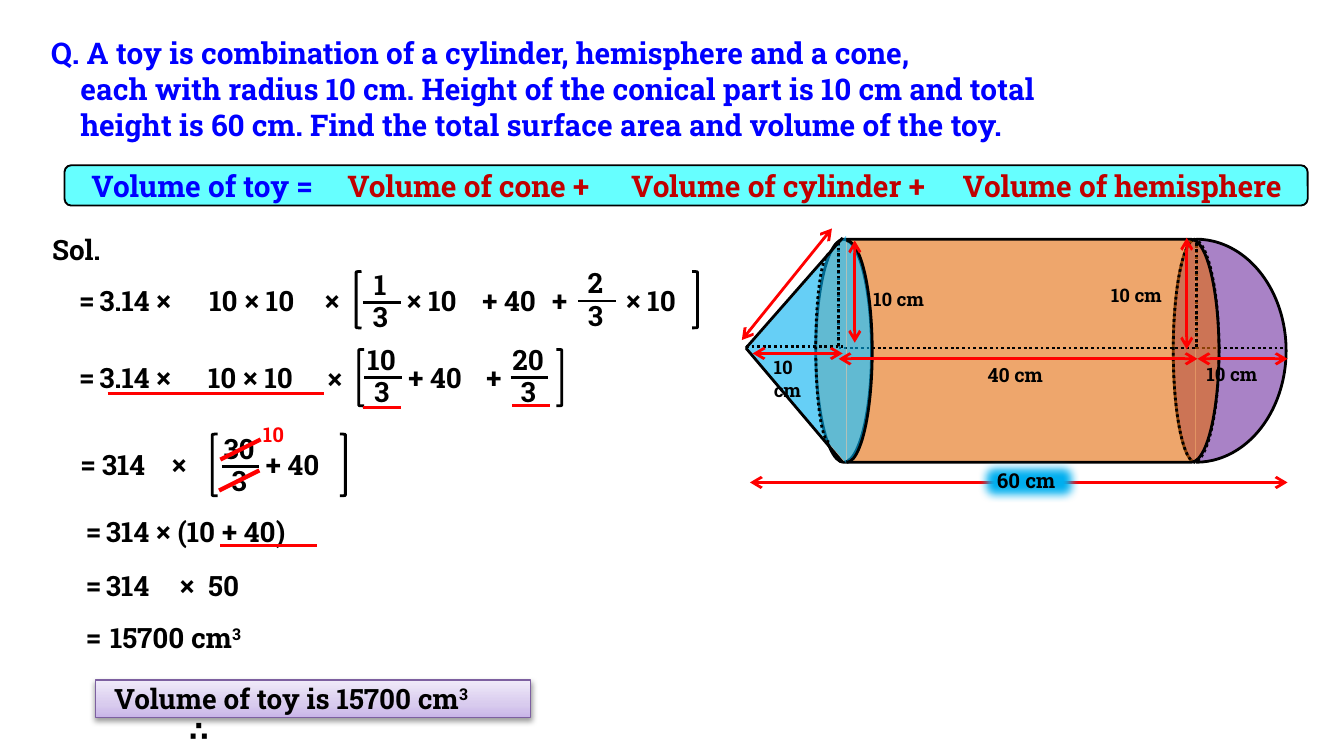
import math

from pptx import Presentation
from pptx.dml.color import RGBColor
from pptx.enum.dml import MSO_LINE
from pptx.enum.shapes import MSO_CONNECTOR, MSO_SHAPE
from pptx.enum.text import MSO_AUTO_SIZE, PP_ALIGN
from pptx.oxml.ns import qn
from pptx.util import Inches, Pt
from lxml import etree

LEFT, CENTER = PP_ALIGN.LEFT, PP_ALIGN.CENTER
DOT = MSO_LINE.ROUND_DOT
STRAIGHT = MSO_CONNECTOR.STRAIGHT
FIT_TEXT = MSO_AUTO_SIZE.SHAPE_TO_FIT_TEXT
ARC, CAN, TRIANGLE = MSO_SHAPE.ARC, MSO_SHAPE.CAN, MSO_SHAPE.ISOSCELES_TRIANGLE
RECTANGLE, ROUNDED = MSO_SHAPE.RECTANGLE, MSO_SHAPE.ROUNDED_RECTANGLE
LEFT_BRACKET, RIGHT_BRACKET = MSO_SHAPE.LEFT_BRACKET, MSO_SHAPE.RIGHT_BRACKET
BLACK, RED, BLUE, CRIMSON = "000000", "FF0000", "0000FF", "C00000"
SKY, PURPLE, ORANGE = "00B0F0", "7030A0", "E46C0A"
RIGHT_HALF, LEFT_HALF = (162, 54), (54, 162)


def color(value):
    return RGBColor.from_string(value)


def child(parent, tag, **attributes):
    """Append a DrawingML element with the given attributes."""
    element = etree.SubElement(parent, qn("a:" + tag))
    for name, value in attributes.items():
        element.set(name, str(value))
    return element


class Board:
    font = "Roboto Slab"

    def __init__(self, slide):
        self.shapes = slide.shapes

    def text(self, x, y, w, content, h=0.35, size=15, ink=BLACK, align=LEFT,
             margin=0, hanging=False, tab=0):
        """Write one paragraph per line; a part after ^ is raised."""
        box = self.shapes.add_textbox(*map(Inches, (x, y, w, h)))
        frame = box.text_frame
        frame.word_wrap = True
        frame.auto_size = FIT_TEXT
        for i, line in enumerate(content.split("\n")):
            paragraph = frame.paragraphs[0] if i == 0 else frame.add_paragraph()
            paragraph.alignment = align
            properties = paragraph._p.get_or_add_pPr()
            if margin:
                first = -margin if hanging and i == 0 else 0
                properties.set("marL", str(Inches(margin)))
                properties.set("indent", str(Inches(first)))
            if tab:
                child(child(properties, "tabLst"), "tab", pos=Inches(tab), algn="l")
            for j, part in enumerate(line.split("^")):
                run = paragraph.add_run()
                run.text = part
                run.font.name = self.font
                run.font.size = Pt(size)
                run.font.bold = True
                run.font.color.rgb = color(ink)
                if j:
                    run._r.get_or_add_rPr().set("baseline", "30000")

    def finish(self, shape, fill, ink, width, dash, alpha):
        shape.shadow.inherit = False
        if fill:
            shape.fill.solid()
            shape.fill.fore_color.rgb = color(fill)
            if alpha:
                solid = shape.element.spPr.find(qn("a:solidFill"))
                child(solid[0], "alpha", val=alpha * 1000)
        else:
            shape.fill.background()
        if ink:
            shape.line.color.rgb = color(ink)
            shape.line.width = Pt(width)
            if dash:
                shape.line.dash_style = dash
        else:
            shape.line.fill.background()
        return shape

    def shape(self, kind, x, y, w, h, fill=None, ink=BLACK, width=1.5,
              dash=None, alpha=None, rotation=0, adjust=()):
        shape = self.shapes.add_shape(kind, *map(Inches, (x, y, w, h)))
        shape.rotation = rotation
        for i, value in enumerate(adjust):
            shape.adjustments[i] = value
        return self.finish(shape, fill, ink, width, dash, alpha)

    def hidden_rim(self, cx, cy, rx, ry):
        """Dot half an ellipse; a negative rx bulges to the left."""
        angles = [math.radians(a) for a in range(-90, 91, 6)]
        points = [(Inches(cx + rx * math.cos(a)), Inches(cy + ry * math.sin(a)))
                  for a in angles]
        builder = self.shapes.build_freeform(*points[0])
        builder.add_line_segments(points[1:], close=False)
        self.finish(builder.convert_to_shape(), None, BLACK, 1.5, DOT, None)

    def line(self, x1, y1, x2, y2, ink=BLACK, width=1.5, dash=None, arrows=False):
        line = self.shapes.add_connector(STRAIGHT, *map(Inches, (x1, y1, x2, y2)))
        line.line.color.rgb = color(ink)
        line.line.width = Pt(width)
        if dash:
            line.line.dash_style = dash
        if arrows:
            outline = line.element.spPr.get_or_add_ln()
            child(outline, "headEnd", type="arrow")
            child(outline, "tailEnd", type="arrow")
        child(line.element.spPr, "effectLst")

    def dimension(self, *ends):
        self.line(*ends, ink=RED, arrows=True)

    def fraction(self, top, bottom, x, y):
        """Set a fraction whose bar starts at x, y."""
        self.text(x - 0.17, y - 0.31, 0.6, top, align=CENTER)
        self.text(x - 0.17, y - 0.07, 0.6, bottom, align=CENTER)
        self.line(x, y, x + 0.28, y)

    def brackets(self, left, right, y, h):
        self.shape(LEFT_BRACKET, left, y, 0.04, h)
        self.shape(RIGHT_BRACKET, right, y, 0.04, h)


def draw_banner(board):
    board.shape(ROUNDED, 0.48, 1.23, 9.25, 0.3, "66FFFF", width=1)
    for x, w, term, ink in ((0.36, 2.29, "Volume of toy =", BLUE),
                            (2.3, 2.37, "Volume of cone +", CRIMSON),
                            (4.41, 2.76, "Volume of cylinder +", CRIMSON),
                            (6.9, 2.9, "Volume of hemisphere", CRIMSON)):
        board.text(x, 1.2, w, term, 0.37, 16, ink, CENTER)


def draw_toy(board):
    board.dimension(5.58, 3.59, 9.58, 3.59)
    board.shape(ARC, 8.23, 1.78, 1.34, 1.66, PURPLE, alpha=60, adjust=RIGHT_HALF)
    board.line(8.9, 2.59, 9.57, 2.59, dash=DOT)
    board.shape(ARC, 8.73, 1.78, 0.33, 1.66, PURPLE, alpha=60, adjust=LEFT_HALF)
    board.hidden_rim(8.88, 2.61, 0.19, 0.83)
    board.line(8.9, 1.78, 8.9, 2.61, dash=DOT)
    board.shape(CAN, 6.74, 1.11, 1.66, 3, ORANGE, alpha=60, rotation=270)
    board.line(6.24, 2.59, 8.91, 2.59, dash=DOT)
    board.line(6.24, 1.81, 6.24, 2.6, dash=DOT)
    board.shape(ARC, 8.73, 1.78, 0.33, 1.66, dash=DOT, adjust=LEFT_HALF)
    board.line(8.9, 1.77, 8.9, 2.6, dash=DOT)
    board.shape(TRIANGLE, 5.08, 2.23, 1.69, 0.74, SKY, ink=None, alpha=60, rotation=270)
    board.line(6.24, 1.8, 6.24, 2.58, dash=DOT)
    board.line(5.55, 2.58, 6.27, 2.58, dash=DOT)
    for rim_y in (1.77, 3.44):
        board.line(5.55, 2.59, 6.27, rim_y)
    board.hidden_rim(6.17, 2.59, -0.1, 0.7)
    board.shape(ARC, 6.11, 1.79, 0.38, 1.65, SKY, alpha=60, adjust=RIGHT_HALF)
    for ends in ((6.36, 1.79, 6.36, 2.55), (8.83, 1.77, 8.83, 2.6),
                 (5.6, 2.63, 6.27, 2.63), (6.19, 1.7, 5.52, 2.53),
                 (8.91, 2.67, 9.58, 2.67), (6.24, 2.67, 8.91, 2.67)):
        board.dimension(*ends)
    total = board.shape(ROUNDED, 7.28, 3.43, 0.75, 0.31, SKY, "FFFFFF", 1)
    child(total.element.spPr.find(qn("a:effectLst")), "softEdge", rad=Pt(5))
    for x, y, w, length, size in (
            (6.4, 2.09, 0.66, "10 cm", 10), (8.17, 2.06, 0.66, "10 cm", 10),
            (5.66, 2.6, 0.54, "10 cm", 10), (7.32, 3.43, 0.7, "60 cm", 11),
            (8.88, 2.65, 0.66, "10 cm", 10), (7.25, 2.65, 0.7, "40 cm", 10.5)):
        board.text(x, y, w, length, 0.27, size)


def draw_answer(board):
    panel = board.shape(RECTANGLE, 0.71, 5.06, 3.24, 0.28, ink="7D60A0", width=0.75)
    panel.fill.gradient()
    panel.fill.gradient_angle = 90
    properties = panel.element.spPr
    stops = properties.find(qn("a:gradFill")).find(qn("a:gsLst"))
    for stop in list(stops):
        stops.remove(stop)
    for position, tint in ((0, "C9B5E8"), (35, "D8CBEE"), (100, "F0EAF9")):
        child(child(stops, "gs", pos=position * 1000), "srgbClr", val=tint)
    shadow = child(properties.find(qn("a:effectLst")), "outerShdw", blurRad=Pt(3.1),
                   dist=Pt(1.6), dir=5400000, rotWithShape=0)
    child(child(shadow, "srgbClr", val=BLACK), "alpha", val=38000)
    board.text(0.75, 5.02, 3.25, "Volume of toy is 15700 cm^3")
    board.text(0.33, 5.01, 0.4, "\t∴", margin=0.98, hanging=True, tab=0.51)


def draw_solution(board):
    board.text(0.29, 1.68, 0.8, "Sol.")
    for equals_x, y, x, w, value in (
            (0.49, 2.06, 0.54, 1.35, "3.14 ×"), (0.49, 2.63, 0.54, 1.35, "3.14 ×"),
            (0.5, 3.28, 0.56, 0.93, "314"), (0.54, 3.78, 0.59, 2.11, "314 × (10 + 40)"),
            (0.54, 4.18, 0.59, 0.92, "314"), (0.54, 4.57, 0.62, 1.69, "15700 cm^3")):
        board.text(equals_x, y, 0.33, "=")
        board.text(x, y, w, value, margin=0.1)
    for x, y, w, term in (
            (1.46, 2.06, 1.03, "10 × 10"), (2.32, 2.06, 0.33, "×"),
            (2.93, 2.06, 0.9, "× 10"), (3.49, 2.06, 0.87, "+ 40"),
            (4.01, 2.06, 0.33, "+"), (4.56, 2.06, 0.94, "× 10"),
            (1.45, 2.63, 1.03, "10 × 10"), (2.34, 2.64, 0.33, "×"),
            (2.94, 2.63, 0.87, "+ 40"), (3.52, 2.63, 0.33, "+"),
            (1.18, 3.28, 0.33, "×"), (1.88, 3.28, 0.87, "+ 40")):
        board.text(x, y, w, term)
    board.text(1.24, 4.18, 0.75, "×\t50", tab=0.21)
    for top, bottom, x, y in (("1", "3", 2.7, 2.25), ("2", "3", 4.3, 2.24),
                              ("10", "3", 2.71, 2.81), ("20", "3", 3.8, 2.81),
                              ("30", "3", 1.65, 3.47)):
        board.fraction(top, bottom, x, y)
    for left, right, y, h in ((2.65, 5.15, 2.02, 0.42), (2.67, 4.14, 2.6, 0.42),
                              (1.58, 2.53, 3.23, 0.46)):
        board.brackets(left, right, y, h)
    for x1, x2, y in ((0.8, 2.41, 2.93), (2.7, 2.98, 3.03), (3.81, 4.09, 3.02),
                      (1.64, 2.36, 4.06)):
        board.line(x1, y, x2, y, RED)
    for x, y in ((1.63, 3.65), (1.64, 3.42)):
        board.line(x, y, x + 0.3, y - 0.15, RED, 2.25)
    board.text(1.86, 3.09, 0.41, "10", 0.29, 11, RED)


def main():
    deck = Presentation()
    deck.slide_width = Inches(10)
    deck.slide_height = deck.slide_width * 9 // 16
    board = Board(deck.slides.add_slide(deck.slide_layouts[6]))
    draw_banner(board)
    draw_toy(board)
    draw_answer(board)
    draw_solution(board)
    board.text(0.28, 0.21, 8.71,
               "Q. A toy is combination of a cylinder, hemisphere and a cone,\n"
               "each with radius 10 cm. Height of the conical part is 10 cm and total\n"
               "height is 60 cm. Find the total surface area and volume of the toy.",
               0.91, 16, BLUE, margin=0.22, hanging=True)
    deck.save("out.pptx")


if __name__ == "__main__":
    main()
